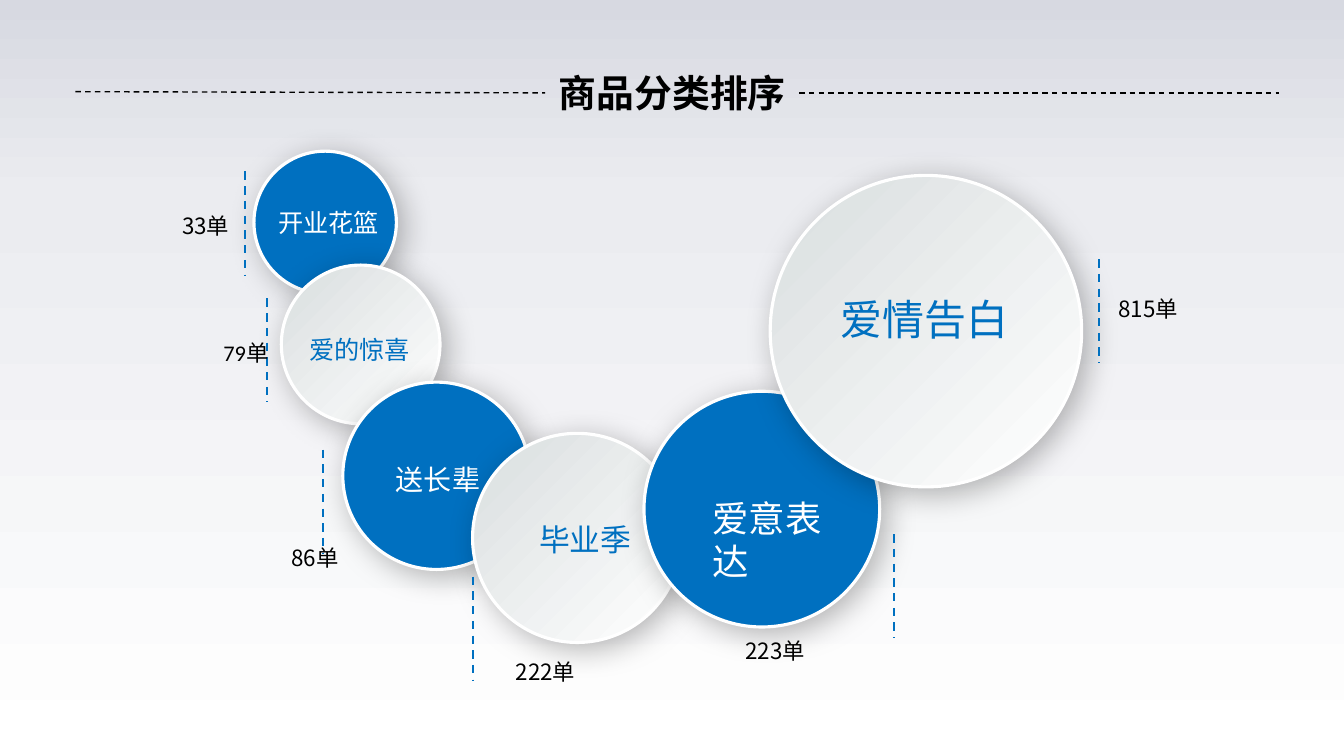
from copy import deepcopy

from lxml import etree
from pptx import Presentation
from pptx.dml.color import RGBColor
from pptx.enum.dml import MSO_LINE
from pptx.enum.shapes import MSO_CONNECTOR, MSO_SHAPE
from pptx.enum.text import MSO_AUTO_SIZE, PP_ALIGN
from pptx.oxml.ns import qn
from pptx.util import Cm, Pt

DASH = MSO_LINE.DASH
STRAIGHT = MSO_CONNECTOR.STRAIGHT
OVAL = MSO_SHAPE.OVAL
FIT_SHAPE = MSO_AUTO_SIZE.SHAPE_TO_FIT_TEXT
LEFT, CENTER = PP_ALIGN.LEFT, PP_ALIGN.CENTER

COLORS = {"blue": "0070C0", "black": "000000", "white": "FFFFFF",
          "silver": "D9DEDF", "sky": "D7D9E1", "haze": "EBECF0"}
FONT = "Noto Sans CJK SC"
TICK_LENGTH = 2.6
COUNT_HEIGHT = 0.94

CATEGORIES = [
    {"name": "开业花篮", "size": 18, "circle": (6.4, 3.81, 3.59),
     "name_box": (6.76, 5.11, 3.05, 1.02), "tick": (6.17, 4.32),
     "count": "33单", "count_box": (4.34, 5.21, 3.2)},
    {"name": "爱的惊喜", "size": 18, "circle": (7.09, 6.68, 4),
     "name_box": (7.54, 8.31, 3.05, 1.02), "tick": (6.73, 7.52),
     "count": "79单", "count_box": (5.38, 8.41, 3.99), "count_font": "Calibri"},
    {"name": "送长辈", "size": 20, "circle": (8.64, 9.63, 4.72),
     "name_box": (9.73, 11.53, 2.62, 1.12), "tick": (8.15, 11.33),
     "count": "86单", "count_box": (7.09, 13.59, 4.22)},
    {"name": "毕业季", "size": 22, "circle": (11.91, 10.92, 5.27),
     "name_box": (13.34, 13, 2.84, 1.19), "tick": (11.91, 14.53),
     "count": "222单", "count_box": (12.75, 16.46, 3.99)},
    {"name": "爱意表达", "size": 26, "circle": (16.23, 9.86, 5.94),
     "name_box": (17.7, 12.37, 4.17, 1.37), "tick": (22.53, 13.46),
     "count": "223单", "count_box": (18.54, 15.93, 2.41)},
    {"name": "爱情告白", "size": 30, "circle": (19.41, 4.42, 7.85),
     "name_box": (20.93, 7.26, 4.75, 1.52), "tick": (27.69, 6.53),
     "count": "815单", "count_box": (27.94, 7.32, 4.19)},
]


def rgb(name):
    return RGBColor.from_string(COLORS[name])


def apply(target, formats):
    for key, value in formats.items():
        setattr(target, key, value)


class SlidePainter:
    def __init__(self, page, font):
        self.page = page
        self.font = font

    def gradient(self, fill, owner, stops, angle):
        fill.gradient()
        stop_list = owner.find(".//" + qn("a:gsLst"))
        while len(stop_list) < len(stops):
            stop_list.append(deepcopy(stop_list[0]))
        for stop, (position, color) in zip(fill.gradient_stops, stops):
            stop.position = position
            stop.color.rgb = rgb(color)
        fill.gradient_angle = angle

    def background(self, stops):
        self.gradient(self.page.background.fill, self.page._element, stops, 270)

    def circle(self, left, top, diameter, solid):
        shape = self.page.shapes.add_shape(
            OVAL, Cm(left), Cm(top), Cm(diameter), Cm(diameter))
        if solid:
            shape.fill.solid()
            shape.fill.fore_color.rgb = rgb("blue")
        else:
            self.gradient(shape.fill, shape._element,
                          [(0, "silver"), (1, "white")], 315)
        shape.line.color.rgb = rgb("white")
        shape.line.width = Pt(2.25)
        shape.shadow.inherit = False
        effects = shape._element.spPr.find(qn("a:effectLst"))
        shadow = etree.SubElement(
            effects, qn("a:outerShdw"), blurRad=str(Pt(22)), dist=str(Pt(6)),
            dir="2700000", algn="tl", rotWithShape="0")
        color = etree.SubElement(shadow, qn("a:srgbClr"), val=COLORS["black"])
        etree.SubElement(color, qn("a:alpha"), val="28000")

    def dashed_line(self, start, end, color, width):
        line = self.page.shapes.add_connector(
            STRAIGHT, *(Cm(value) for value in (*start, *end)))
        line.line.color.rgb = rgb(color)
        apply(line.line, {"width": Pt(width), "dash_style": DASH})
        etree.SubElement(line._element.spPr, qn("a:effectLst"))

    def text(self, words, place, size, color, font=None, bold=False,
             wrap=True, align=LEFT, margins=None):
        box = self.page.shapes.add_textbox(*(Cm(value) for value in place))
        frame = box.text_frame
        apply(frame, {"word_wrap": wrap, "auto_size": FIT_SHAPE, **(margins or {})})
        para = frame.paragraphs[0]
        para.alignment = align
        span = para.add_run()
        span.text = words
        apply(span.font, {"name": font or self.font, "size": Pt(size), "bold": bold})
        span.font.color.rgb = rgb(color)
        etree.SubElement(span.font._element, qn("a:ea"), typeface=self.font)


def main():
    deck = Presentation()
    apply(deck, {"slide_width": Cm(33.87), "slide_height": Cm(19.05)})
    painter = SlidePainter(deck.slides.add_slide(deck.slide_layouts[6]), FONT)

    painter.background([(0, "sky"), (0.26, "haze"), (1, "white")])
    painter.dashed_line((1.9, 2.31), (13.74, 2.34), "black", 1)
    painter.dashed_line((20.14, 2.34), (32.23, 2.34), "black", 1)
    sides = ("left", "top", "right", "bottom")
    painter.text("商品分类排序", (13.21, 1.75, 7.47, 1.14), 27, "black", bold=True,
                 align=CENTER, margins={f"margin_{side}": 0 for side in sides})

    for index, category in enumerate(CATEGORIES):
        painter.circle(*category["circle"], solid=index % 2 == 0)

    for index, category in enumerate(CATEGORIES):
        left, top = category["tick"]
        painter.dashed_line((left, top), (left, top + TICK_LENGTH), "blue", 1.5)
        painter.text(category["count"], (*category["count_box"], COUNT_HEIGHT),
                     16, "black", font=category.get("count_font"))
        painter.text(category["name"], category["name_box"], category["size"],
                     "blue" if index % 2 else "white", wrap=False)

    deck.save("out.pptx")


if __name__ == "__main__":
    main()
